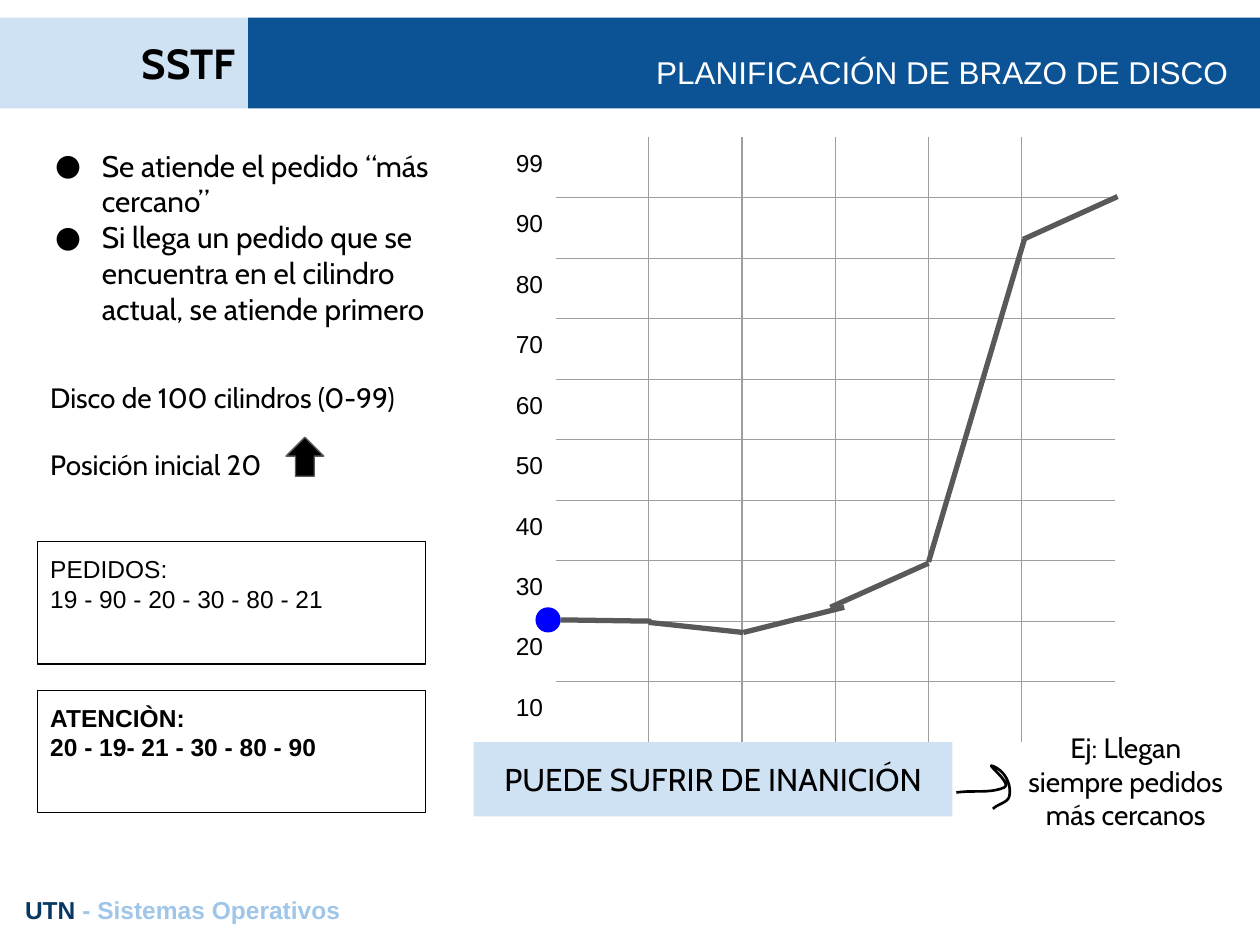
"""Build the SSTF disk-arm scheduling slide."""
from lxml.etree import SubElement
from pptx import Presentation
from pptx.dml.color import RGBColor
from pptx.enum.shapes import MSO_CONNECTOR as Connector, MSO_SHAPE as Shape
from pptx.enum.text import MSO_ANCHOR as Anchor, MSO_AUTO_SIZE as AutoSize, PP_ALIGN as Align
from pptx.oxml.ns import qn
from pptx.util import Pt

PX = 914400 // 100
rgb = RGBColor.from_string


def add_block(kind, box, fill=None, line=None):
    place = [n * PX for n in box]
    if kind is None:
        return slide.shapes.add_textbox(*place)
    block = slide.shapes.add_shape(kind, *place)
    block.shadow.inherit = False
    if fill:
        block.fill.solid()
        block.fill.fore_color.rgb = rgb(fill)
    else:
        block.fill.background()
    if line:
        block.line.color.rgb = rgb(line)
        block.line.width = Pt(0.75)
    else:
        block.line.fill.background()
    return block


def write(holder, text, size, font="Cabin", color="000000", bold=False,
          align=Align.LEFT, anchor=Anchor.TOP, bullet=None):
    frame = holder.text_frame
    frame.text = text
    frame.word_wrap = True
    frame.auto_size = AutoSize.NONE
    frame.vertical_anchor = anchor
    frame.margin_left = frame.margin_right = frame.margin_top = frame.margin_bottom = 10 * PX
    for paragraph in frame.paragraphs:
        paragraph.alignment = align
        if bullet:
            props = paragraph._p.get_or_add_pPr()
            props.set("marL", str(50 * PX))
            props.set("indent", str(-37 * PX))
            SubElement(props, qn("a:buSzPts"), val=str(size * 100))
            SubElement(props, qn("a:buFont"), typeface=font)
            SubElement(props, qn("a:buChar"), char=bullet)
        for run in paragraph.runs:
            run.font.size = Pt(size)
            run.font.name = font
            run.font.bold = bold
            run.font.color.rgb = rgb(color)
    return frame


deck = Presentation()
deck.slide_width, deck.slide_height = 1000 * PX, 750 * PX
slide = deck.slides.add_slide(deck.slide_layouts[5])

topic = add_block(Shape.RECTANGLE, (0, 14, 197, 72), "CFE2F3")
write(topic, "SSTF", 24, bold=True, align=Align.RIGHT, anchor=Anchor.MIDDLE)
banner = add_block(Shape.RECTANGLE, (197, 14, 803, 72), "0B5394")
title = slide.shapes.title
title.left, title.top, title.width, title.height = [n * PX for n in (135, 32, 850, 50)]
write(title, "PLANIFICACIÓN DE BRAZO DE DISCO", 18, "Arial", "FFFFFF",
      align=Align.RIGHT, anchor=Anchor.BOTTOM)
banner.element.addnext(title.element)

rules = add_block(None, (21, 107, 338, 131))
write(rules, "Se atiende el pedido “más cercano”\n"
      "Si llega un pedido que se encuentra en el cilindro actual, se atiende primero",
      17, bullet="●")

cylinders = ["", "99", *[str(n) for n in range(90, -1, -10)]]
grid = slide.shapes.add_table(12, 8, 367 * PX, 61 * PX, 592 * PX, 576 * PX).table
grid.first_row = grid.horz_banding = False
for column in grid.columns:
    column.width = 74 * PX
for r, cylinder in enumerate(cylinders):
    grid.rows[r].height = 48 * PX
    for c in range(8):
        cell = grid.cell(r, c)
        cell.margin_left = cell.margin_right = cell.margin_top = cell.margin_bottom = 10 * PX
        paragraph = cell.text_frame.paragraphs[0]
        if c == 0 and cylinder:
            paragraph.text = cylinder
            paragraph.alignment = Align.RIGHT
            font = paragraph.runs[0].font
            font.size, font.name, font.color.rgb = Pt(14), "Arial", rgb("000000")
        else:
            SubElement(paragraph._p, qn("a:endParaRPr"), sz="1400")
        plotted = 1 <= r <= 10 and 1 <= c <= 6
        edges = {"a:lnL": c > 1, "a:lnR": c < 6, "a:lnT": r > 1, "a:lnB": r < 10}
        for edge, inner in edges.items():
            border = SubElement(cell._tc.get_or_add_tcPr(), qn(edge), w=str(Pt(0.75)))
            if plotted and inner:
                SubElement(SubElement(border, qn("a:solidFill")), qn("a:srgbClr"), val="9E9E9E")
            else:
                SubElement(border, qn("a:noFill"))
        cell.fill.background()

disk = add_block(None, (30, 292, 338, 131))
disk_text = write(disk, "Disco de 100 cilindros (0-99)\nPosición inicial 20", 16)
disk_text.paragraphs[1].space_before = Pt(19)
add_block(Shape.UP_ARROW, (227, 347, 30, 31), "000000", "595959")

requests = add_block(Shape.RECTANGLE, (30, 430, 308, 97), line="000000")
write(requests, "PEDIDOS:\n19 - 90 - 20 - 30 - 80 - 21", 14, "Arial")

add_block(Shape.OVAL, (425, 482, 20, 20), "0000FF")
arm_moves = [(445, 492, 517, 493), (515, 494, 590, 502), (590, 502, 670, 482),
             (659, 482, 737, 447), (737, 446, 813, 190), (812, 190, 887, 156)]
for move in arm_moves:
    track = slide.shapes.add_connector(Connector.STRAIGHT, *[n * PX for n in move])
    track.line.color.rgb = rgb("595959")
    track.line.width = Pt(3)
    SubElement(track.element.spPr, qn("a:effectLst"))

warning = add_block(Shape.RECTANGLE, (376, 589, 380, 59), "CFE2F3")
write(warning, "PUEDE SUFRIR DE INANICIÓN", 18, align=Align.CENTER, anchor=Anchor.MIDDLE)
served = add_block(Shape.RECTANGLE, (30, 548, 308, 97), line="000000")
write(served, "ATENCIÒN:\n20 - 19- 21 - 30 - 80 - 90", 14, "Arial", bold=True)
example = add_block(None, (802, 570, 183, 114))
write(example, "Ej: Llegan siempre pedidos más cercanos", 16, align=Align.CENTER)

stroke = [(759, 629), (772, 627), (786, 630), (797, 625), (804, 622), (781, 605),
          (788, 608), (798, 612), (803, 623), (801, 632), (800, 637), (792, 638), (788, 642)]
steps = 10
curve = []
for start in range(0, len(stroke) - 1, 3):
    for step in range(1, steps + 1):
        t = step / steps
        weights = ((1 - t) ** 3, 3 * t * (1 - t) ** 2, 3 * t * t * (1 - t), t ** 3)
        controls = stroke[start:start + 4]
        curve.append([sum(w * point[axis] for w, point in zip(weights, controls)) * PX
                      for axis in (0, 1)])
pen = slide.shapes.build_freeform(stroke[0][0] * PX, stroke[0][1] * PX)
pen.add_line_segments(curve, close=False)
hand_arrow = pen.convert_to_shape()
hand_arrow.shadow.inherit = False
hand_arrow.fill.background()
hand_arrow.line.color.rgb = rgb("000000")
hand_arrow.line.width = Pt(1.5)

footer = add_block(None, (10, 700, 981, 44))
footer_text = write(footer, "UTN ", 14, "Arial", "073763", bold=True)
course = footer_text.paragraphs[0].add_run()
course.text = "- Sistemas Operativos"
course.font.size, course.font.name, course.font.bold = Pt(14), "Arial", True
course.font.color.rgb = rgb("9FC5E8")

deck.save("out.pptx")
